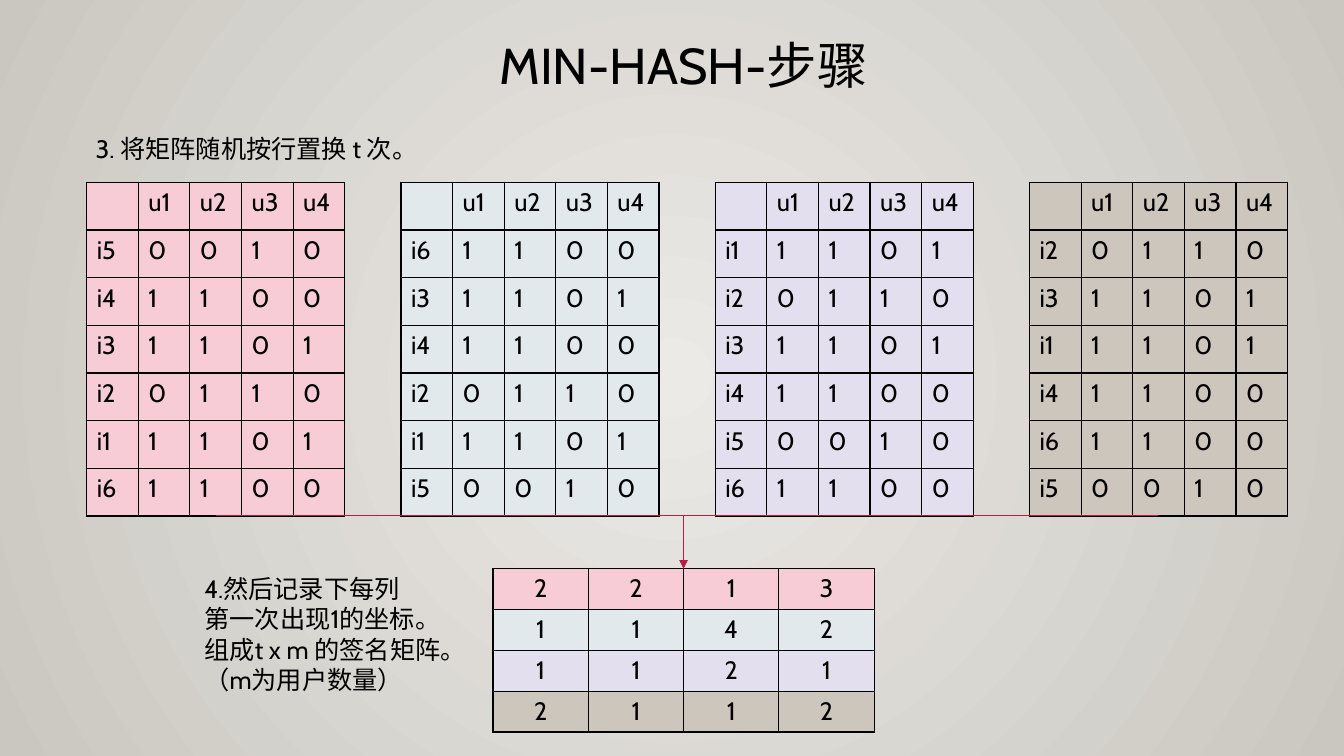
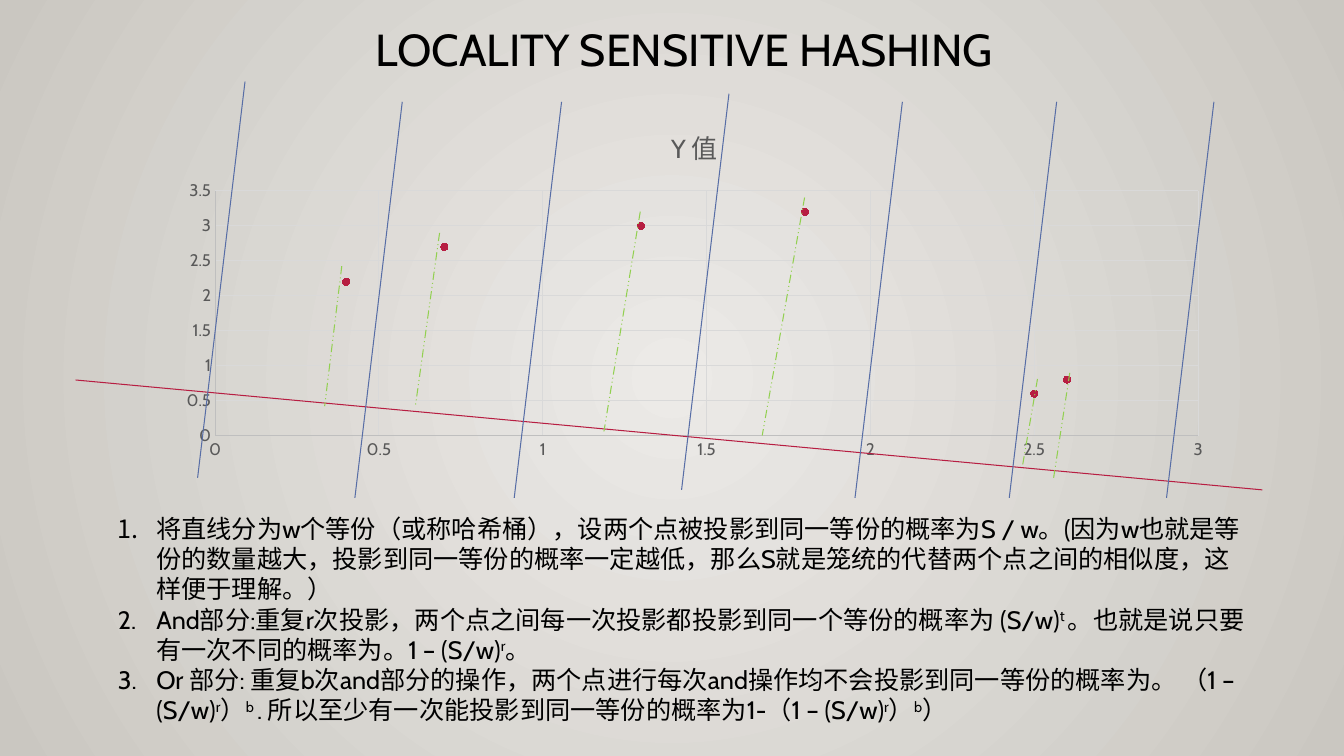
from dataclasses import dataclass

from lxml import etree
from pptx import Presentation
from pptx import util as u
from pptx.chart import data as chart_data
from pptx.dml import color
from pptx.enum import chart as chart_enum, dml, shapes, text
from pptx.oxml import ns


@dataclass(frozen=True)
class Theme:
    font: str = "Cabin"
    ink: str = "000000"
    muted: str = "595959"
    axis: str = "BFBFBF"
    grid: str = "D9D9D9"
    accent: str = "B71E42"
    projection: str = "92D050"
    bucket: str = "586EA6"
    background: tuple = ("ECEAE7", "CAC7C1")
    tables: tuple = ("F7CCD6", "E1E9EC", "E4DFEF", "CCC6BC")
    body: float = 18
    label: float = 12
    chart_title: float = 18.6
    hairline: float = 0.75


theme = Theme()
rgb = color.RGBColor.from_string


def write(paragraph, pieces, size=theme.body, **paragraph_format):
    for name, value in paragraph_format.items():
        setattr(paragraph, name, value)
    for words, baseline in pieces:
        run = paragraph.add_run()
        run.text = words
        for name, value in {"name": theme.font, "size": u.Pt(size), "bold": False}.items():
            setattr(run.font, name, value)
        run.font.color.rgb = rgb(theme.ink)
        if baseline:
            run._r.get_or_add_rPr().set("baseline", str(baseline))


def draw_line(slide, start, end, ink, kind=shapes.MSO_CONNECTOR.STRAIGHT, dash=None):
    line = slide.shapes.add_connector(kind, *(u.Inches(value) for value in (*start, *end)))
    line.line.color.rgb = rgb(ink)
    line.line.width = u.Pt(theme.hairline)
    if dash:
        line.line.dash_style = dash
    etree.SubElement(line.element.spPr, ns.qn("a:effectLst"))
    return line


presentation = Presentation()
presentation.slide_width = u.Inches(13.33)
presentation.slide_height = u.Inches(7.5)

master = presentation.slide_master
background = master.background.fill
background.gradient()
for stop, ink, position in zip(background.gradient_stops, theme.background, (0, 1)):
    stop.color.rgb = rgb(ink)
    stop.position = position
gradient = master.element.find(".//" + ns.qn("p:bg")).find(".//" + ns.qn("a:gradFill"))
for linear in gradient.findall(ns.qn("a:lin")):
    gradient.remove(linear)
radial = etree.SubElement(gradient, ns.qn("a:path"), path="circle")
etree.SubElement(radial, ns.qn("a:fillToRect"), l="50000", t="50000", r="50000", b="50000")

slides = []
for layout, heading, left, top, size in (
    (5, "MIN-HASH-步骤", 1.53, 0.36, 36),
    (1, "LOCALITY SENSITIVE HASHING", 1.54, 0.23, 32),
):
    slide = presentation.slides.add_slide(presentation.slide_layouts[layout])
    title = slide.shapes.title
    for name, value in {"left": left, "top": top, "width": 10.5, "height": 1.15}.items():
        setattr(title, name, u.Inches(value))
    title.text_frame.auto_size = text.MSO_AUTO_SIZE.NONE
    title.text_frame.vertical_anchor = text.MSO_ANCHOR.TOP
    write(title.text_frame.paragraphs[0], [(heading, 0)], size,
          alignment=text.PP_ALIGN.CENTER, line_spacing=0.9)
    slides.append(slide)
steps_slide, lsh_slide = slides

items = {"i1": "1101", "i2": "0110", "i3": "1101", "i4": "1100", "i5": "0010", "i6": "1100"}
orders = (
    ("i5", "i4", "i3", "i2", "i1", "i6"),
    ("i6", "i3", "i4", "i2", "i1", "i5"),
    ("i1", "i2", "i3", "i4", "i5", "i6"),
    ("i2", "i3", "i1", "i4", "i6", "i5"),
)
header = ["", "u1", "u2", "u3", "u4"]
grids = []
signature = []
for index, (order, fill) in enumerate(zip(orders, theme.tables)):
    rows = [header] + [[item, *items[item]] for item in order]
    box = (0.86 + 3.117 * index, 1.81, 2.56, 3.31)
    grids.append((rows, box, [fill] * len(rows), text.PP_ALIGN.LEFT))
    columns = zip(*(items[item] for item in order))
    signature.append([str(column.index("1") + 1) for column in columns])
grids.append((signature, (4.89, 5.64, 3.78, 1.61), theme.tables, text.PP_ALIGN.CENTER))

for rows, box, fills, alignment in grids:
    frame = steps_slide.shapes.add_table(len(rows), len(rows[0]), *(u.Inches(value) for value in box))
    table = frame.table
    table.first_row = table.horz_banding = False
    for row_index, (row, fill) in enumerate(zip(rows, fills)):
        for column_index, value in enumerate(row):
            cell = table.cell(row_index, column_index)
            write(cell.text_frame.paragraphs[0], [(value, 0)] if value else [], alignment=alignment)
            properties = cell._tc.get_or_add_tcPr()
            for side in ("a:lnL", "a:lnR", "a:lnT", "a:lnB"):
                border = etree.SubElement(properties, ns.qn(side), w=str(u.Pt(1)))
                solid = etree.SubElement(border, ns.qn("a:solidFill"))
                etree.SubElement(solid, ns.qn("a:srgbClr"), val=theme.ink)
            cell.fill.solid()
            cell.fill.fore_color.rgb = rgb(fill)

for start_x in (2.14, 11.49):
    arrow = draw_line(steps_slide, (start_x, 5.11), (6.78, 5.64), theme.accent,
                      shapes.MSO_CONNECTOR.ELBOW)
    arrow.element.spPr.find(ns.qn("a:prstGeom")).set("prst", "bentConnector2")
    etree.SubElement(arrow.line._get_or_add_ln(), ns.qn("a:tailEnd"), type="triangle")

for box, wrap, lines in (
    ((0.85, 1.27, 10.64, 0.4), True, ["3. 将矩阵随机按行置换 t 次。"]),
    ((1.93, 5.64, 2.84, 1.31), False,
     ["4.然后记录下每列", "第一次出现1的坐标。", "组成t x m 的签名矩阵。", "（m为用户数量）"]),
):
    caption = steps_slide.shapes.add_textbox(*(u.Inches(value) for value in box)).text_frame
    caption.word_wrap = wrap
    for index, line in enumerate(lines):
        paragraph = caption.add_paragraph() if index else caption.paragraphs[0]
        write(paragraph, [(line, 0)])

points = chart_data.XyChartData()
series_data = points.add_series("Y 值")
for x, y in ((0.7, 2.7), (1.8, 3.2), (2.6, 0.8), (0.4, 2.2), (1.3, 3), (2.5, 0.6)):
    series_data.add_data_point(x, y)
chart = lsh_slide.shapes.add_chart(
    chart_enum.XL_CHART_TYPE.XY_SCATTER,
    *(u.Inches(value) for value in (1.64, 1.07, 10.5, 3.56)), points).chart
chart.has_legend = False
chart.font.name = theme.font
chart.font.size = u.Pt(10)
chart.has_title = True
chart.chart_title.include_in_layout = False
chart_heading = chart.chart_title.text_frame
chart_heading.text = "Y 值"
heading_font = chart_heading.paragraphs[0].runs[0].font
for axis, maximum in ((chart.category_axis, 3), (chart.value_axis, 3.5)):
    for name, value in {
        "minimum_scale": 0, "maximum_scale": maximum, "major_unit": 0.5,
        "has_major_gridlines": True,
        "major_tick_mark": chart_enum.XL_TICK_MARK.NONE,
        "minor_tick_mark": chart_enum.XL_TICK_MARK.NONE,
    }.items():
        setattr(axis, name, value)
    for line, ink in ((axis.format.line, theme.axis), (axis.major_gridlines.format.line, theme.grid)):
        line.color.rgb = rgb(ink)
        line.width = u.Pt(theme.hairline)
for font, size in (
    (heading_font, theme.chart_title),
    (chart.category_axis.tick_labels.font, theme.label),
    (chart.value_axis.tick_labels.font, theme.label),
):
    for name, value in {"name": theme.font, "size": u.Pt(size), "bold": False}.items():
        setattr(font, name, value)
    font.color.rgb = rgb(theme.muted)
chart.plots[0].vary_by_categories = False
series = chart.plots[0].series[0]
series.smooth = False
series.format.line.fill.background()
series.marker.style = chart_enum.XL_MARKER_STYLE.CIRCLE
series.marker.size = 5
series.marker.format.fill.solid()
series.marker.format.fill.fore_color.rgb = rgb(theme.accent)
series.marker.format.line.color.rgb = rgb(theme.accent)

raised = 30000
explanations = (
    [("将直线分为w个等份（或称哈希桶），设两个点被投影到同一等份的概率为S / w。"
      "(因为w也就是等份的数量越大，投影到同一等份的概率一定越低，"
      "那么S就是笼统的代替两个点之间的相似度，这样便于理解。）", 0)],
    [("And部分:重复r次投影，两个点之间每一次投影都投影到同一个等份的概率为 (S/w)", 0),
     ("t ", raised), ("。也就是说只要有一次不同的概率为。1 – (S/w)", 0), ("r", raised), ("。", 0)],
    [("Or 部分: 重复b次and部分的操作，两个点进行每次and操作均不会投影到同一等份的概率为。 （1 – (S/w)", 0),
     ("r", raised), ("）", 0), ("b ", raised),
     (". 所以至少有一次能投影到同一等份的概率为1-（1 – (S/w)", 0),
     ("r", raised), ("）", 0), ("b", raised), ("）", 0)],
)
body = lsh_slide.placeholders[1]
for name, value in {"left": 1.07, "top": 5.04, "width": 11.38, "height": 2.22}.items():
    setattr(body, name, u.Inches(value))
body.text_frame.auto_size = text.MSO_AUTO_SIZE.NONE
for index, pieces in enumerate(explanations):
    paragraph = body.text_frame.add_paragraph() if index else body.text_frame.paragraphs[0]
    write(paragraph, pieces, space_before=u.Pt(0), line_spacing=1.0)
    properties = paragraph._p.get_or_add_pPr()
    properties.set("marL", str(u.Inches(0.38)))
    properties.set("indent", str(-u.Inches(0.38)))
    etree.SubElement(properties, ns.qn("a:buFont"), typeface="+mj-lt")
    etree.SubElement(properties, ns.qn("a:buAutoNum"), type="arabicPeriod")

draw_line(lsh_slide, (0.75, 3.77), (12.52, 4.86), theme.accent)
for start, end in (
    ((3.39, 2.64), (3.22, 4.03)),
    ((4.36, 2.31), (4.12, 4.03)),
    ((6.35, 2.1), (5.99, 4.28)),
    ((7.98, 1.96), (7.56, 4.32)),
    ((10.29, 3.76), (10.14, 4.63)),
    ((10.61, 3.7), (10.45, 4.74)),
):
    draw_line(lsh_slide, start, end, theme.projection, dash=dml.MSO_LINE.DASH_DOT_DOT)
for x, y in ((1.96, 4.74), (3.52, 4.94), (5.1, 4.94), (6.76, 4.86),
             (8.48, 4.94), (10.01, 4.94), (11.57, 4.94)):
    draw_line(lsh_slide, (x, y), (x + 0.47, y - 3.93), theme.bucket)

presentation.save("out.pptx")
